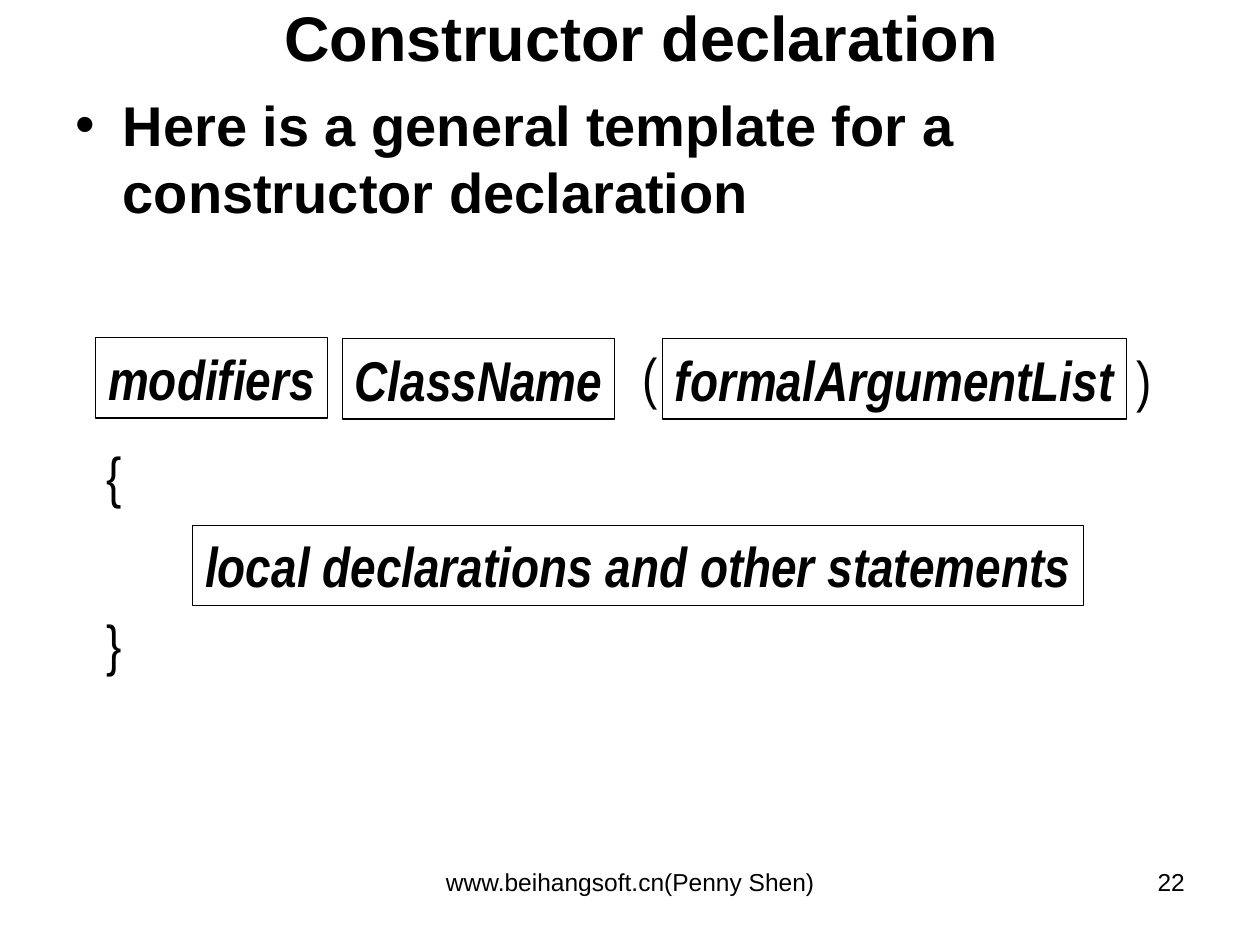
from dataclasses import dataclass

from lxml import etree
from pptx import Presentation
from pptx import util as u
from pptx.dml.color import RGBColor
from pptx.enum import shapes, text
from pptx.oxml import ns

CENTER = text.PP_ALIGN.CENTER
LEFT = text.PP_ALIGN.LEFT
RIGHT = text.PP_ALIGN.RIGHT
TOP = text.MSO_ANCHOR.TOP
MIDDLE = text.MSO_ANCHOR.MIDDLE


@dataclass(frozen=True)
class Theme:
    ink: RGBColor = RGBColor(0, 0, 0)
    font: str = "Arial"
    narrow: str = "Arial Narrow"
    title: float = 36
    body: float = 32
    small: float = 14
    border: float = 0.75


@dataclass(frozen=True)
class Area:
    left: float
    top: float
    width: float
    height: float

    def lengths(self):
        return [u.Pt(v) for v in (self.left, self.top, self.width, self.height)]


@dataclass(frozen=True)
class Token:
    words: str
    left: float
    top: float
    width: float = 23
    framed: bool = False
    align: text.PP_ALIGN = CENTER


THEME = Theme()
TOKEN_HEIGHT = 46
SIGNATURE_TOP = 193.5
BRACE_LEFT = 54

TOKENS = [
    Token("modifiers", 54.7, 192.8, 132.5, framed=True),
    Token("ClassName", 195.8, SIGNATURE_TOP, 155.5, framed=True),
    Token("(", 360, 192.2),
    Token(")", 642.2, SIGNATURE_TOP),
    Token("formalArgumentList", 378.7, SIGNATURE_TOP, 265, framed=True),
    Token("{", BRACE_LEFT, 248.4),
    Token("}", BRACE_LEFT, 344.2),
    Token("local declarations and other statements", 110.2, 300.2, 509,
          framed=True, align=LEFT),
]


def fill_text(box, words: str, size: float, font: str, align: text.PP_ALIGN,
              anchor: text.MSO_ANCHOR, bold: bool = False,
              italic: bool = False, wrap: bool = True):
    frame = box.text_frame
    frame.text = words
    frame.word_wrap = wrap
    frame.auto_size = text.MSO_AUTO_SIZE.NONE
    frame.vertical_anchor = anchor
    para = frame.paragraphs[0]
    para.alignment = align
    for span in para.runs:
        span.font.name = font
        span.font.size = u.Pt(size)
        span.font.bold = bold
        span.font.italic = italic
        span.font.color.rgb = THEME.ink
    return para


def add_text(page, area: Area, words: str, size: float, align: text.PP_ALIGN,
             bold: bool = False):
    box = page.shapes.add_textbox(*area.lengths())
    return fill_text(box, words, size, THEME.font, align, TOP, bold)


def add_bullet(para, indent: float) -> None:
    properties = para._p.get_or_add_pPr()
    properties.set("marL", str(u.Pt(indent)))
    properties.set("indent", str(-u.Pt(indent)))
    etree.SubElement(properties, ns.qn("a:buFont"), typeface=THEME.font)
    etree.SubElement(properties, ns.qn("a:buChar"), char="•")


def add_token(page, token: Token) -> None:
    lengths = Area(token.left, token.top, token.width, TOKEN_HEIGHT).lengths()
    if token.framed:
        box = page.shapes.add_shape(shapes.MSO_SHAPE.RECTANGLE, *lengths)
        box.shadow.inherit = False
        box.fill.background()
        box.line.color.rgb = THEME.ink
        box.line.width = u.Pt(THEME.border)
    else:
        box = page.shapes.add_textbox(*lengths)
    fill_text(box, token.words, THEME.body, THEME.narrow, token.align, MIDDLE,
              bold=token.framed, italic=token.framed, wrap=False)


def main() -> None:
    deck = Presentation()
    deck.slide_width, deck.slide_height = u.Pt(720), u.Pt(540)
    page = deck.slides.add_slide(deck.slide_layouts[5])

    title = page.shapes.title
    title.left, title.top, title.width, title.height = Area(
        30.2, 0, 672.5, 42).lengths()
    fill_text(title, "Constructor declaration", THEME.title, THEME.font,
              CENTER, MIDDLE, bold=True)

    intro = add_text(page, Area(36, 48.2, 660, 456),
                     "Here is a general template for a constructor declaration",
                     THEME.body, LEFT, bold=True)
    add_bullet(intro, 27)

    for token in TOKENS:
        add_token(page, token)

    add_text(page, Area(246.2, 491.8, 228, 37.5),
             "www.beihangsoft.cn(Penny Shen)", THEME.small, CENTER)
    add_text(page, Area(516.2, 491.8, 168, 37.5), "22", THEME.small, RIGHT)
    deck.save("out.pptx")


if __name__ == "__main__":
    main()
